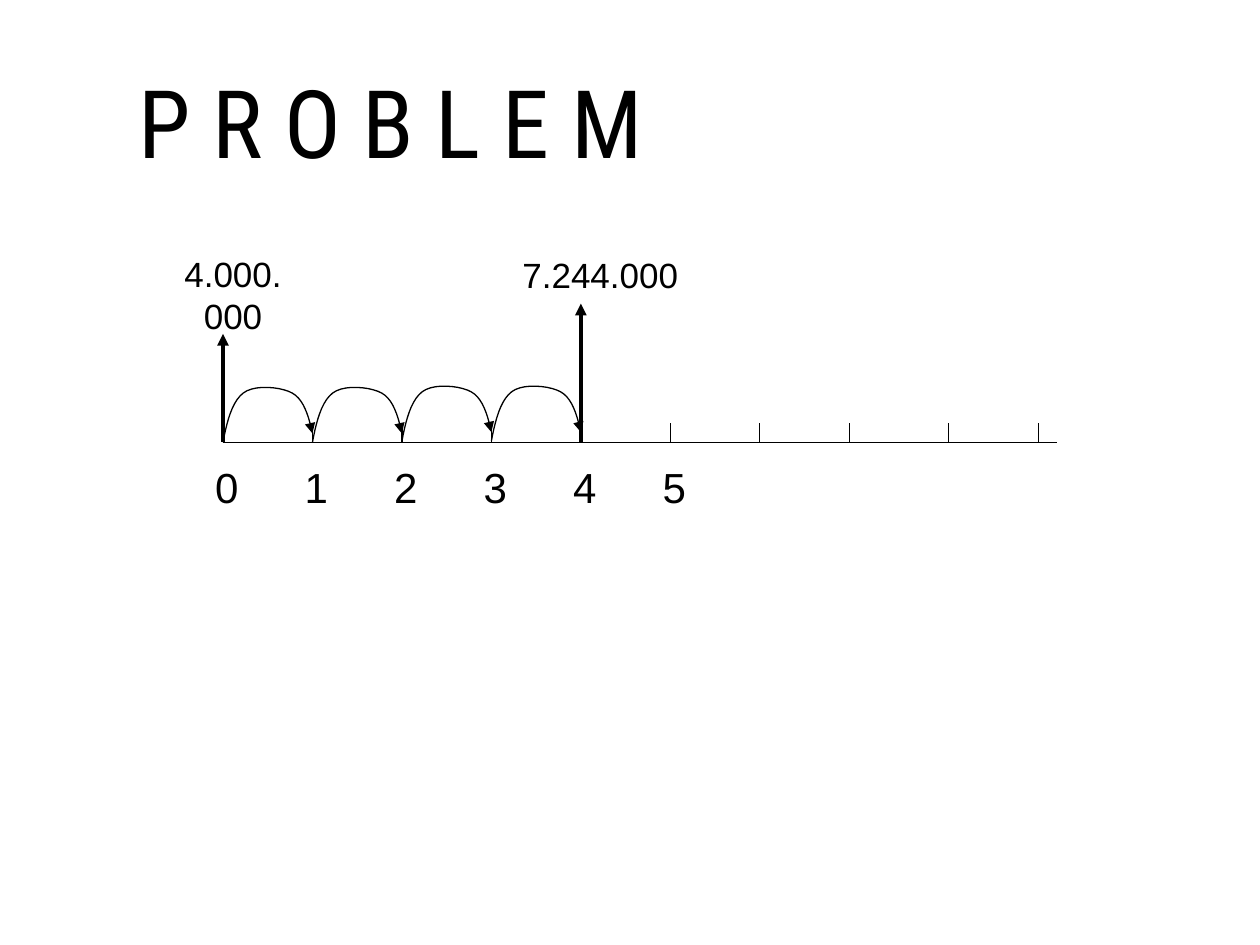
from lxml import etree
from pptx import Presentation
from pptx.dml.color import RGBColor
from pptx.enum.shapes import MSO_CONNECTOR
from pptx.enum.text import MSO_ANCHOR, PP_ALIGN
from pptx.oxml.ns import qn
from pptx.util import Inches, Pt

# Content
TITLE = "P R O B L E M"
PERIODS = ["0", "1", "2", "3", "4", "5"]
# amount, period, arrow tip, label box (left, top, width, height)
CASH_FLOWS = [
    ("4.000.000", 0, 2.65, (1.3, 2.18, 1.1, 0.31)),
    ("7.244.000", 4, 2.41, (3.9, 2.02, 1.73, 0.32)),
]
# top offset of the jump from each period to the next
JUMP_SHIFTS = [0, 0, -0.01, -0.01]

COLORS = {"ink": "000000", "background": "FFFFFF"}
FONTS = {"title": "Roboto Condensed", "label": "Arial"}

# Time axis
AXIS_LEFT, AXIS_RIGHT, AXIS_Y = 1.77, 8.39, 3.51
STEP, TICK_HEIGHT, TICK_COUNT = 0.71, 0.15, 10
LATE_TICK, LATE_GAP = 8, 0.08  # the last ticks stand slightly further out
THIN, THICK = 0.75, 2.25

# Jump outline: start, then cubic curves (two controls and an end)
JUMP_START = (0, 0)
JUMP_CURVES = [
    ((0.03, -0.16), (0.07, -0.32), (0.16, -0.39)),
    ((0.25, -0.46), (0.46, -0.44), (0.55, -0.39)),
    ((0.64, -0.34), (0.68, -0.21), (0.71, -0.07)),
]
CURVE_STEPS = 10


def color(name):
    return RGBColor.from_string(COLORS[name])


def write(frame, text, size, font, align, wrap=False):
    frame.word_wrap = wrap
    frame.vertical_anchor = MSO_ANCHOR.MIDDLE
    paragraph = frame.paragraphs[0]
    paragraph.alignment = align
    run = paragraph.add_run()
    run.text = text
    run.font.size = Pt(size)
    run.font.name = FONTS[font]
    run.font.color.rgb = color("ink")


def add_label(slide, text, box, size):
    label = slide.shapes.add_textbox(*map(Inches, box))
    write(label.text_frame, text, size=size, font="label", align=PP_ALIGN.CENTER)


def style_line(shape, width, arrow=False):
    shape.line.color.rgb = color("ink")
    shape.line.width = Pt(width)
    if arrow:
        etree.SubElement(shape.line._get_or_add_ln(), qn("a:tailEnd"), type="triangle")


def add_line(slide, start, end, width=THIN, arrow=False):
    line = slide.shapes.add_connector(
        MSO_CONNECTOR.STRAIGHT, *map(Inches, (*start, *end)))
    style_line(line, width, arrow)
    etree.SubElement(line._element.spPr, qn("a:effectLst"))


def curve_points():
    start = JUMP_START
    for c1, c2, end in JUMP_CURVES:
        for i in range(1, CURVE_STEPS + 1):
            t = i / CURVE_STEPS
            u = 1 - t
            yield tuple(u**3 * a + 3 * u * u * t * b + 3 * u * t * t * c + t**3 * d
                        for a, b, c, d in zip(start, c1, c2, end))
        start = end


def add_jump(slide, x, y):
    builder = slide.shapes.build_freeform(Inches(x), Inches(y))
    builder.add_line_segments(
        [(Inches(x + dx), Inches(y + dy)) for dx, dy in curve_points()], close=False)
    jump = builder.convert_to_shape()
    jump.shadow.inherit = False
    jump.fill.background()
    style_line(jump, THIN, arrow=True)


def period_x(period):
    return AXIS_LEFT + period * STEP


def main():
    prs = Presentation()
    prs.slide_width, prs.slide_height = Inches(10), Inches(7.5)
    slide = prs.slides.add_slide(prs.slide_layouts[5])
    slide.background.fill.solid()
    slide.background.fill.fore_color.rgb = color("background")

    # Title
    title = slide.shapes.title
    title.left, title.top, title.width, title.height = map(Inches, (1, 0.33, 8, 1.25))
    write(title.text_frame, TITLE, size=54, font="title", align=PP_ALIGN.LEFT, wrap=True)

    # Axis with ticks and period numbers
    add_line(slide, (AXIS_LEFT, AXIS_Y), (AXIS_RIGHT, AXIS_Y))
    for tick in range(TICK_COUNT):
        x = period_x(tick) + (LATE_GAP if tick >= LATE_TICK else 0)
        add_line(slide, (x, AXIS_Y - TICK_HEIGHT), (x, AXIS_Y))
    for i, period in enumerate(PERIODS):
        add_label(slide, period, (period_x(i) - 0.16, 3.67, 0.31, 0.39), size=24)

    # Jumps between periods
    for i, shift in enumerate(JUMP_SHIFTS):
        add_jump(slide, period_x(i), AXIS_Y + shift)

    # Cash flows
    for amount, period, tip, box in CASH_FLOWS:
        x = period_x(period)
        add_line(slide, (x, AXIS_Y), (x, tip), width=THICK, arrow=True)
        add_label(slide, amount, box, size=20)

    prs.save("out.pptx")


if __name__ == "__main__":
    main()
